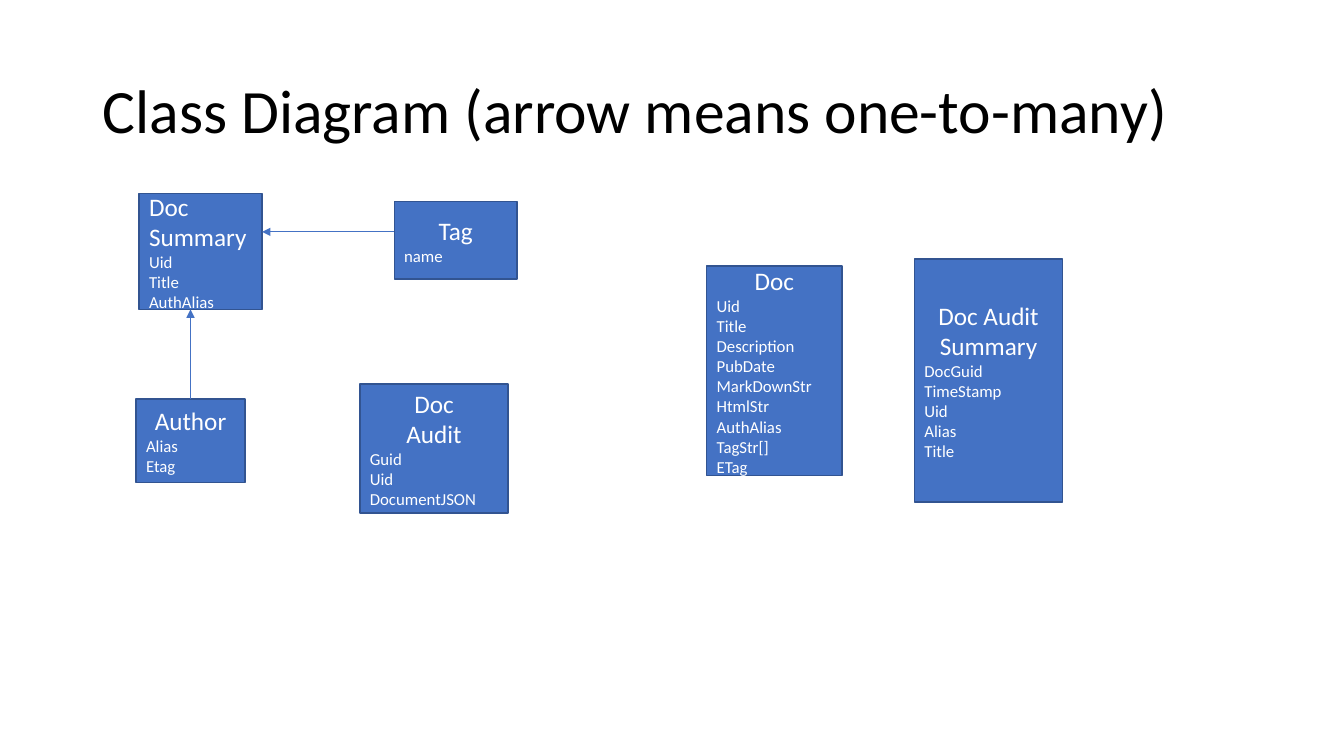
"""Build a class diagram slide with one-to-many arrows."""
from dataclasses import dataclass
from typing import Optional

from lxml.etree import SubElement
from pptx import Presentation
from pptx.dml.color import RGBColor
from pptx.enum.shapes import MSO_CONNECTOR as Conn, MSO_SHAPE as Shape
from pptx.enum.text import MSO_ANCHOR as Anchor, PP_ALIGN as Align
from pptx.oxml.ns import qn
from pptx.shapes.autoshape import Shape as AutoShape
from pptx.slide import Slide
from pptx.text.text import TextFrame
from pptx.util import Inches, Pt


@dataclass(frozen=True)
class Theme:
    font: str = "Calibri"
    ink: RGBColor = RGBColor(0x00, 0x00, 0x00)
    paper: RGBColor = RGBColor(0xFF, 0xFF, 0xFF)
    accent: RGBColor = RGBColor(0x44, 0x72, 0xC4)
    border: RGBColor = RGBColor(0x32, 0x54, 0x91)
    title_size: Pt = Pt(44)
    name_size: Pt = Pt(18)
    field_size: Pt = Pt(12)
    border_width: Pt = Pt(1)
    arrow_width: Pt = Pt(0.5)


@dataclass(frozen=True)
class ClassBox:
    names: tuple[str, ...]
    fields: tuple[str, ...]
    left: float
    top: float
    width: float
    height: float
    align: Align = Align.CENTER


@dataclass(frozen=True)
class Arrow:
    start: tuple[float, float]
    end: tuple[float, float]
    source: Optional[str] = None
    side: int = 0


THEME = Theme()
TITLE = "Class Diagram (arrow means one-to-many)"
BOXES = (
    ClassBox(("Doc", "Summary"), ("Uid", "Title", "AuthAlias"),
             1.38, 1.92, 1.22, 1.15, Align.LEFT),
    ClassBox(("Tag",), ("name",), 3.91, 2, 1.22, 0.77),
    ClassBox(("Author",), ("Alias", "Etag"), 1.35, 3.96, 1.08, 0.83),
    ClassBox(("Doc", "Audit"), ("Guid", "Uid", "DocumentJSON"),
             3.57, 3.81, 1.47, 1.28),
    ClassBox(("Doc",), ("Uid", "Title", "Description", "PubDate", "MarkDownStr",
                        "HtmlStr", "AuthAlias", "TagStr[]", "ETag"),
             7.01, 2.64, 1.34, 2.08),
    ClassBox(("Doc Audit Summary",), ("DocGuid", "TimeStamp", "Uid", "Alias", "Title"),
             9.07, 2.57, 1.47, 2.41),
)
ARROWS = (
    Arrow((3.91, 2.3), (2.6, 2.3)),
    Arrow((1.89, 3.96), (1.89, 3.07), source="Author"),
)


def set_all(target: object, values: dict[str, object]) -> None:
    """Set every named attribute on the target."""
    for name, value in values.items():
        setattr(target, name, value)


def add_line(tf: TextFrame, text: str, size: Pt, color: RGBColor, align: Align) -> None:
    """Write one paragraph, using the empty first one if it is free."""
    p = tf.paragraphs[0] if not tf.text else tf.add_paragraph()
    p.alignment = align
    r = p.add_run()
    r.text = text
    set_all(r.font, {"name": THEME.font, "size": size})
    r.font.color.rgb = color


def add_title(s: Slide) -> None:
    """Add the slide title."""
    sp = s.shapes.add_textbox(Inches(0.92), Inches(0.4), Inches(11.5), Inches(1.45))
    tf = sp.text_frame
    set_all(tf, {"word_wrap": True, "vertical_anchor": Anchor.MIDDLE})
    add_line(tf, TITLE, THEME.title_size, THEME.ink, Align.LEFT)
    tf.paragraphs[0].line_spacing = 0.9


def add_box(s: Slide, box: ClassBox) -> AutoShape:
    """Draw a class with its name lines above its fields."""
    sp = s.shapes.add_shape(Shape.RECTANGLE, Inches(box.left), Inches(box.top),
                            Inches(box.width), Inches(box.height))
    sp.shadow.inherit = False
    sp.fill.solid()
    sp.fill.fore_color.rgb = THEME.accent
    sp.line.color.rgb = THEME.border
    sp.line.width = THEME.border_width
    tf = sp.text_frame
    set_all(tf, {"word_wrap": True, "vertical_anchor": Anchor.MIDDLE})
    for name in box.names:
        add_line(tf, name, THEME.name_size, THEME.paper, box.align)
    for field in box.fields:
        add_line(tf, field, THEME.field_size, THEME.paper, Align.LEFT)
    return sp


def add_arrow(s: Slide, arrow: Arrow, shapes: dict[str, AutoShape]) -> None:
    """Draw a one-to-many arrow, joined to its source where one is named."""
    points = (Inches(v) for v in (*arrow.start, *arrow.end))
    line = s.shapes.add_connector(Conn.STRAIGHT, *points)
    line.line.color.rgb = THEME.accent
    line.line.width = THEME.arrow_width
    if arrow.source:
        line.begin_connect(shapes[arrow.source], arrow.side)
    SubElement(line.line._get_or_add_ln(), qn("a:tailEnd"), type="triangle")
    SubElement(line._element.spPr, qn("a:effectLst"))


def main() -> None:
    """Build and save the slide."""
    prs = Presentation()
    set_all(prs, {"slide_width": Inches(13.33), "slide_height": Inches(7.5)})
    s = prs.slides.add_slide(prs.slide_layouts[6])
    add_title(s)
    shapes = {" ".join(box.names): add_box(s, box) for box in BOXES}
    for arrow in ARROWS:
        add_arrow(s, arrow, shapes)
    prs.save("out.pptx")


if __name__ == "__main__":
    main()
